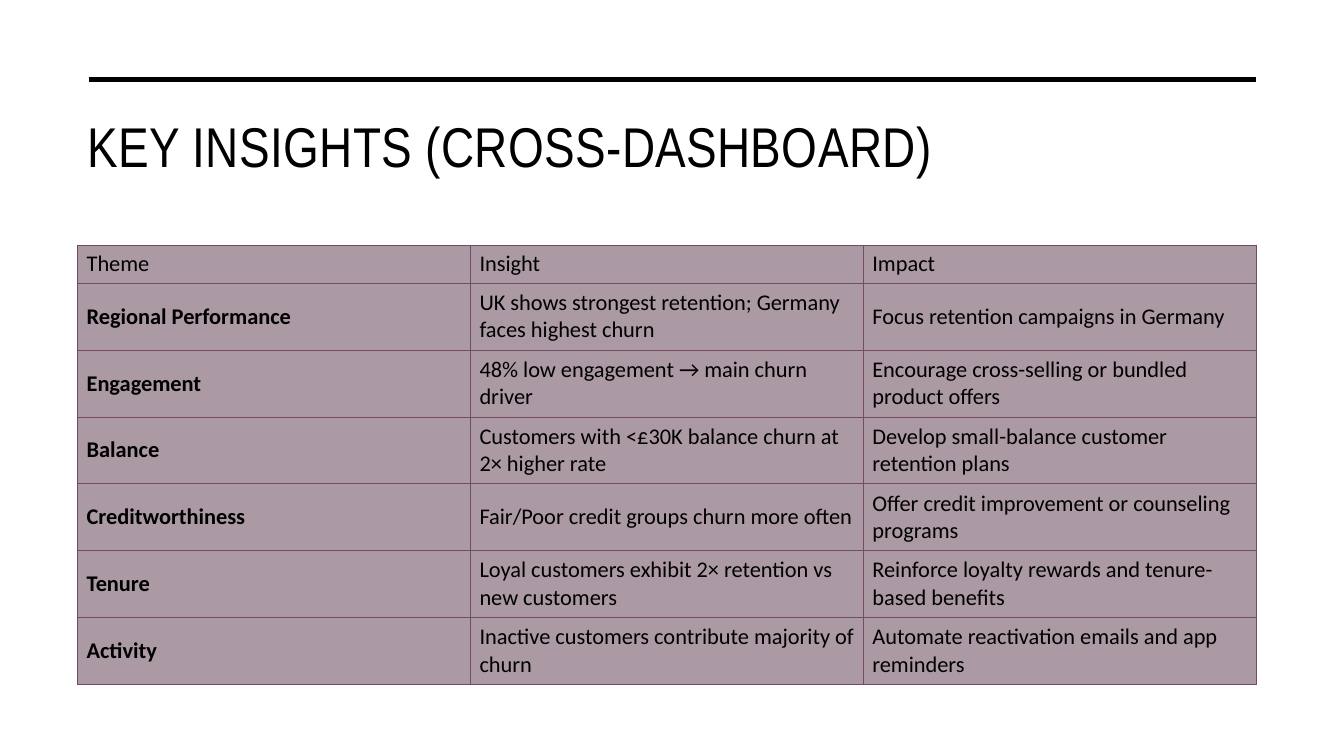
import lxml.etree
import pptx
import pptx.dml.color
import pptx.enum.shapes
import pptx.enum.text
import pptx.oxml.ns
import pptx.util

COLORS = {"text": "000000", "rule": "000000", "cell": "AB99A4", "border": "734B67"}
ROWS = [
    ("Theme", "Insight", "Impact"),
    ("Regional Performance", "UK shows strongest retention; Germany faces highest churn",
     "Focus retention campaigns in Germany"),
    ("Engagement", "48% low engagement → main churn driver",
     "Encourage cross-selling or bundled product offers"),
    ("Balance", "Customers with <£30K balance churn at 2× higher rate",
     "Develop small-balance customer retention plans"),
    ("Creditworthiness", "Fair/Poor credit groups churn more often",
     "Offer credit improvement or counseling programs"),
    ("Tenure", "Loyal customers exhibit 2× retention vs new customers",
     "Reinforce loyalty rewards and tenure-based benefits"),
    ("Activity", "Inactive customers contribute majority of churn",
     "Automate reactivation emails and app reminders"),
]


class Deck:
    """Draws styled elements on a slide laid out as a grid of 160 columns by 90 rows."""

    def __init__(self):
        self.prs = pptx.Presentation()
        self.prs.slide_width = pptx.util.Inches(13.33)
        self.prs.slide_height = pptx.util.Inches(7.5)
        self.s = self.prs.slides.add_slide(self.prs.slide_layouts[6])

    def x(self, cols):
        return round(self.prs.slide_width * cols / 160)

    def y(self, rows):
        return round(self.prs.slide_height * rows / 90)

    def color(self, name):
        return pptx.dml.color.RGBColor.from_string(COLORS[name])

    def add_run(self, p, text, font, size, bold=False):
        r = p.add_run()
        r.text = text
        r.font.name, r.font.size, r.font.bold = font, pptx.util.Pt(size), bold
        r.font.color.rgb = self.color("text")
        return r

    def rule(self, left, right, row, width):
        sp = self.s.shapes.add_connector(
            pptx.enum.shapes.MSO_CONNECTOR.STRAIGHT,
            self.x(left), self.y(row), self.x(right), self.y(row))
        sp.line.color.rgb = self.color("rule")
        sp.line.width = pptx.util.Pt(width)
        lxml.etree.SubElement(sp._element.spPr, pptx.oxml.ns.qn("a:effectLst"))

    def title(self, text, left, top, width, height):
        sp = self.s.shapes.add_textbox(self.x(left), self.y(top), self.x(width), self.y(height))
        tf = sp.text_frame
        tf.word_wrap = True
        tf.vertical_anchor = pptx.enum.text.MSO_ANCHOR.MIDDLE
        r = self.add_run(tf.paragraphs[0], text, "Arial Narrow", 40)
        r.font._element.set("spc", "30")

    def cell(self, cell, text, bold):
        cell.vertical_anchor = pptx.enum.text.MSO_ANCHOR.MIDDLE
        cell.margin_left = cell.margin_right = pptx.util.Inches(0.09)
        cell.margin_top = cell.margin_bottom = pptx.util.Inches(0.04)
        qn = pptx.oxml.ns.qn
        tc_pr = cell._tc.get_or_add_tcPr()
        for side in "LRTB":
            ln = lxml.etree.SubElement(tc_pr, qn(f"a:ln{side}"), w=str(pptx.util.Pt(0.5)))
            fill = lxml.etree.SubElement(ln, qn("a:solidFill"))
            lxml.etree.SubElement(fill, qn("a:srgbClr"), val=COLORS["border"])
        cell.fill.solid()
        cell.fill.fore_color.rgb = self.color("cell")
        self.add_run(cell.text_frame.paragraphs[0], text, "Calibri", 16, bold)

    def table(self, rows, left, top, width, header, body):
        height = header + body * (len(rows) - 1)
        table = self.s.shapes.add_table(
            len(rows), len(rows[0]),
            self.x(left), self.y(top), self.x(width), self.y(height)).table
        for i, row in enumerate(rows):
            table.rows[i].height = self.y(body if i else header)
            for j, text in enumerate(row):
                self.cell(table.cell(i, j), text, bold=i > 0 and j == 0)


def main():
    deck = Deck()
    deck.rule(10.56, 149.56, 9.48, 3.5)
    deck.title("KEY INSIGHTS (CROSS-DASHBOARD)", 9.24, 12, 140.32, 10.44)
    deck.table(ROWS, 9.24, 29.16, 140.32, header=4.56, body=7.96)
    deck.prs.save("out.pptx")


if __name__ == "__main__":
    main()
